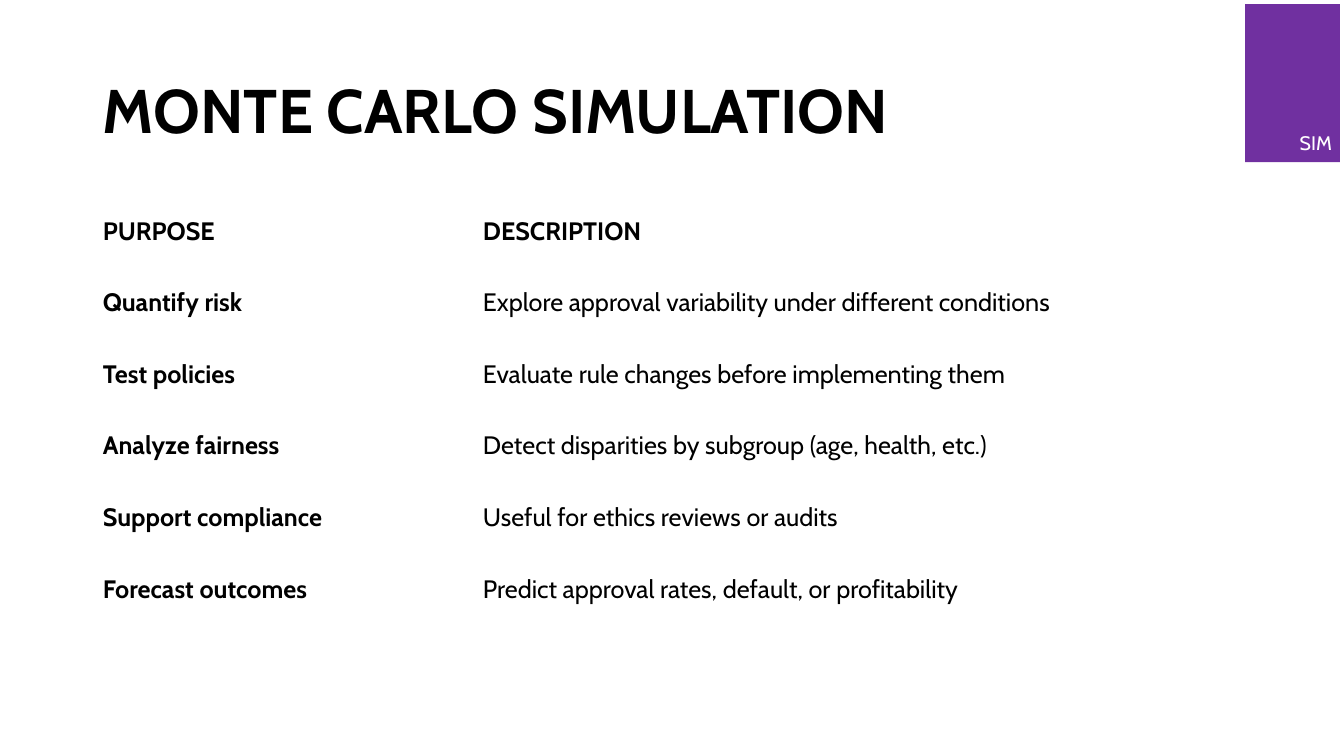
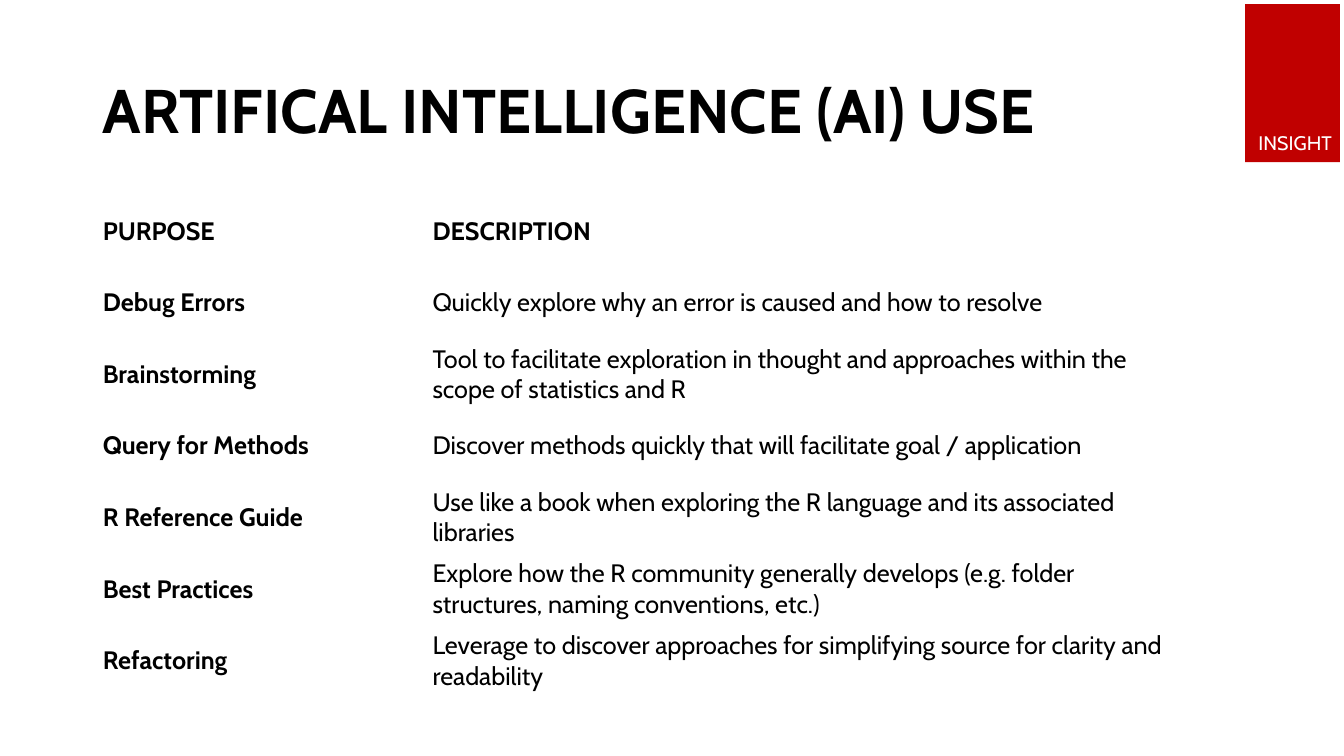
from pptx import Presentation
from pptx.dml.color import RGBColor
from pptx.enum.shapes import MSO_SHAPE
from pptx.enum.text import MSO_ANCHOR, MSO_AUTO_SIZE, PP_ALIGN
from pptx.util import Emu, Pt

RECTANGLE = MSO_SHAPE.RECTANGLE
MIDDLE = MSO_ANCHOR.MIDDLE
GROW = MSO_AUTO_SIZE.SHAPE_TO_FIT_TEXT
LEFT, RIGHT = PP_ALIGN.LEFT, PP_ALIGN.RIGHT

EMU_PER_PX = 9144
SLIDE_SIZE = (1333, 750)
TITLE_BOX = (92, 40, 1150, 145)
TABLE_BOX = (92, 194, 1084)
TAG_BOX = (1235, 4, 94, 157)
ROW_HEIGHT = 71
FONT = "Cabin"
BLACK, WHITE = "000000", "FFFFFF"
PURPLE, RED = "7030A0", "C00000"
HEADINGS = ("PURPOSE", "DESCRIPTION")

SIMULATION_ROWS = [
    ("Quantify risk", "Explore approval variability under different conditions"),
    ("Test policies", "Evaluate rule changes before implementing them"),
    ("Analyze fairness", "Detect disparities by subgroup (age, health, etc.)"),
    ("Support compliance", "Useful for ethics reviews or audits"),
    ("Forecast outcomes", "Predict approval rates, default, or profitability"),
]
AI_ROWS = [
    ("Debug Errors", "Quickly explore why an error is caused and how to resolve"),
    ("Brainstorming", "Tool to facilitate exploration in thought and approaches "
                      "within the scope of statistics and R"),
    ("Query for Methods", "Discover methods quickly that will facilitate goal / application"),
    ("R Reference Guide", "Use like a book when exploring the R language "
                          "and its associated libraries"),
    ("Best Practices", "Explore how the R community generally develops "
                       "(e.g. folder structures, naming conventions, etc.)"),
    ("Refactoring", "Leverage to discover approaches for simplifying source "
                    "for clarity and readability"),
]


def px(length):
    """Turn pixels into EMU."""
    return Emu(length * EMU_PER_PX)


def rgb(value):
    """Turn a hex string into a colour."""
    return RGBColor.from_string(value)


def write(frame, text, size, color=BLACK, bold=False, align=LEFT):
    """Put one formatted paragraph into a text frame and return it."""
    frame.text = text
    frame.word_wrap = True
    paragraph = frame.paragraphs[0]
    paragraph.alignment = align
    font = paragraph.runs[0].font
    font.name, font.size, font.bold = FONT, Pt(size), bold
    font.color.rgb = rgb(color)
    return paragraph


def add_title(slide, box, text):
    """Place the slide title in its box."""
    frame = slide.shapes.add_textbox(*map(px, box)).text_frame
    frame.vertical_anchor = MIDDLE
    write(frame, text, 44, bold=True).line_spacing = 0.9


def add_purpose_table(slide, box, purpose_width, entries):
    """Place the plain two-column table under its headings."""
    left, top, width = box
    rows = [HEADINGS, *entries]
    table = slide.shapes.add_table(
        len(rows), len(HEADINGS),
        px(left), px(top), px(width), px(ROW_HEIGHT * len(rows))).table
    table.first_row = table.horz_banding = False
    table.columns[0].width = px(purpose_width)
    table.columns[1].width = px(width - purpose_width)
    for row, texts in enumerate(rows):
        table.rows[row].height = px(ROW_HEIGHT)
        for column, text in enumerate(texts):
            cell = table.cell(row, column)
            cell.fill.background()
            cell.vertical_anchor = MIDDLE
            write(cell.text_frame, text, 18, bold=row == 0 or column == 0)


def add_section_tag(slide, box, label, color):
    """Place the coloured corner tag with its label at the bottom."""
    left, top, width, height = box
    block = slide.shapes.add_shape(RECTANGLE, *map(px, box))
    block.shadow.inherit = False
    block.fill.solid()
    block.fill.fore_color.rgb = rgb(color)
    block.line.fill.background()
    label_box = (left - 14, top + height - 36, width + 16, 34)
    frame = slide.shapes.add_textbox(*map(px, label_box)).text_frame
    frame.auto_size = GROW
    write(frame, label, 14, WHITE, align=RIGHT)


def add_purpose_slide(deck, title, entries, purpose_width, label, color):
    """Add one slide with a title, a table and a corner tag."""
    slide = deck.slides.add_slide(deck.slide_layouts[6])
    add_title(slide, TITLE_BOX, title)
    add_purpose_table(slide, TABLE_BOX, purpose_width, entries)
    add_section_tag(slide, TAG_BOX, label, color)


def main():
    """Build and save the deck."""
    deck = Presentation()
    deck.slide_width, deck.slide_height = map(px, SLIDE_SIZE)
    add_purpose_slide(deck, "MONTE CARLO SIMULATION", SIMULATION_ROWS, 377, "SIM", PURPLE)
    add_purpose_slide(deck, "ARTIFICAL INTELLIGENCE (AI) USE", AI_ROWS, 327, "INSIGHT", RED)
    deck.save("out.pptx")


if __name__ == "__main__":
    main()
